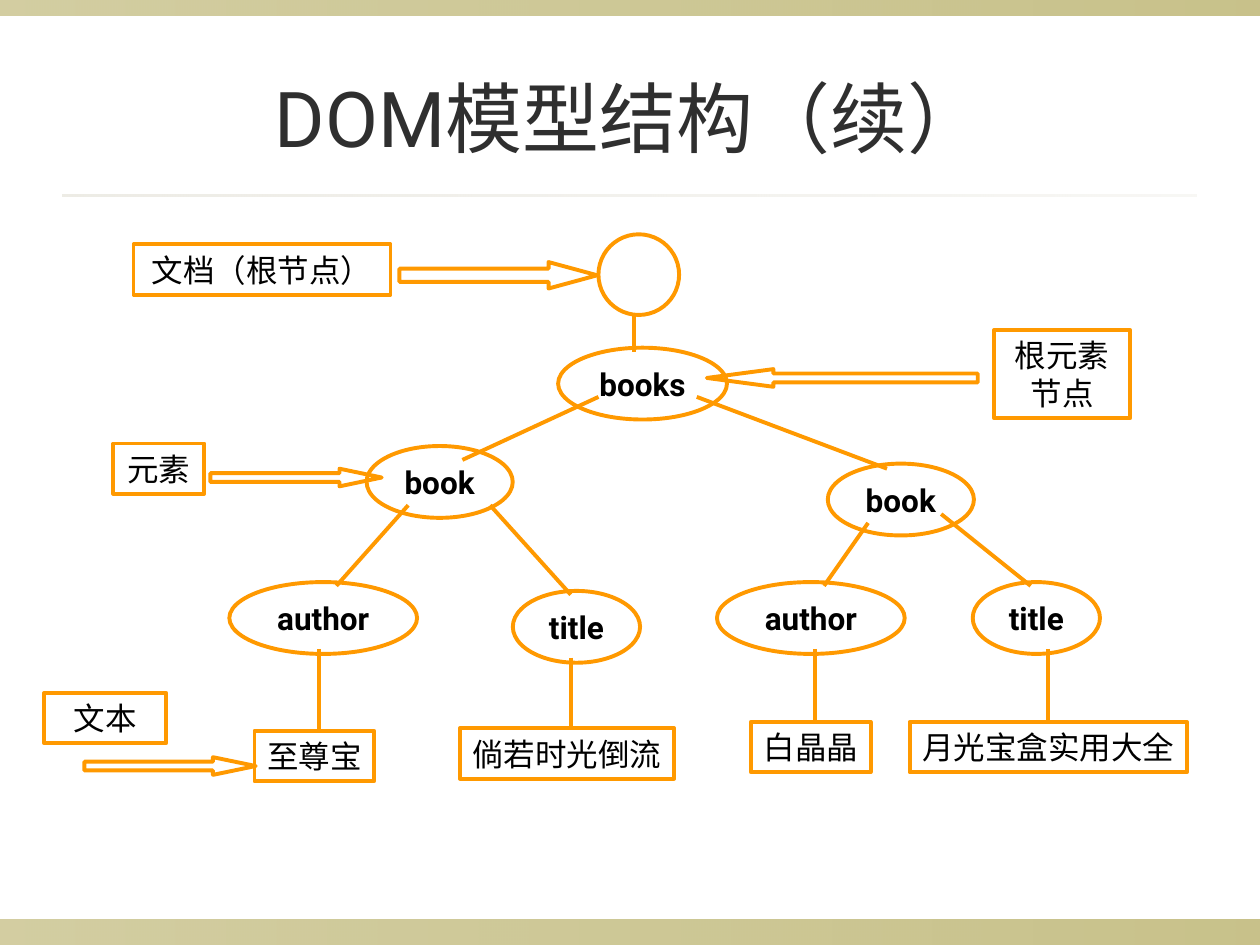
from dataclasses import dataclass

from lxml.etree import SubElement
from pptx import Presentation
from pptx.dml.color import RGBColor as Rgb
from pptx.enum.shapes import MSO_CONNECTOR as Connector, MSO_SHAPE as Preset
from pptx.enum.text import MSO_ANCHOR as Anchor, MSO_AUTO_SIZE as AutoSize, PP_ALIGN as Align
from pptx.oxml.ns import qn
from pptx.util import Inches, Pt


@dataclass(frozen=True)
class Theme:
    font: str = "Roboto"
    title_size: int = 44
    body_size: int = 18
    line_width: float = 2.25
    title: str = "2F2F2F"
    text: str = "000000"
    accent: str = "FF9900"
    band: str = "918415"
    rule: str = "DCD9CC"


class TreeSlide:
    """Draws on a grid of 100 columns by 75 rows."""

    columns, rows = 100, 75

    def __init__(self, presentation, theme):
        self.theme = theme
        self.column = presentation.slide_width / self.columns
        self.row = presentation.slide_height / self.rows
        self.slide = presentation.slides.add_slide(presentation.slide_layouts[6])

    def place(self, x, y, *size):
        lengths = (x, y) + size
        units = (self.column, self.row) * 2
        return [round(length * unit) for length, unit in zip(lengths, units)]

    def add_text(self, shape, text, size, color, bold=False, wrap=True):
        frame = shape.text_frame
        frame.word_wrap = wrap
        frame.vertical_anchor = Anchor.MIDDLE
        paragraph = frame.paragraphs[0]
        paragraph.alignment = Align.CENTER
        run = paragraph.add_run()
        run.text = text
        run.font.name = self.theme.font
        run.font.size = Pt(size)
        run.font.bold = bold
        run.font.color.rgb = Rgb.from_string(color)

    def band(self, place, color, opacities):
        shape = self.slide.shapes.add_shape(Preset.RECTANGLE, *self.place(*place))
        shape.shadow.inherit = False
        shape.line.fill.background()
        shape.fill.gradient()
        shape.fill.gradient_angle = 0
        for stop in shape.fill.gradient_stops:
            stop.color.rgb = Rgb.from_string(color)
        for element, opacity in zip(shape.element.spPr.iter(qn("a:srgbClr")), opacities):
            SubElement(element, qn("a:alpha")).set("val", str(opacity * 1000))

    def title(self, text, place):
        box = self.slide.shapes.add_textbox(*self.place(*place))
        self.add_text(box, text, self.theme.title_size, self.theme.title)

    def outline(self, preset, place):
        shape = self.slide.shapes.add_shape(preset, *self.place(*place))
        shape.shadow.inherit = False
        shape.fill.background()
        self.stroke(shape.line)
        return shape

    def stroke(self, line):
        line.color.rgb = Rgb.from_string(self.theme.accent)
        line.width = Pt(self.theme.line_width)

    def labelled(self, preset, text, place, bold=False, wrap=True):
        shape = self.outline(preset, place)
        self.add_text(shape, text, self.theme.body_size, self.theme.text, bold, wrap)
        shape.text_frame.auto_size = AutoSize.SHAPE_TO_FIT_TEXT

    def arrow(self, preset, place, head):
        shape = self.outline(preset, place)
        shape.adjustments[0] = 0.5
        shape.adjustments[1] = head

    def edge(self, start, end):
        connector = self.slide.shapes.add_connector(
            Connector.STRAIGHT, *self.place(*start), *self.place(*end))
        self.stroke(connector.line)
        SubElement(connector.element.spPr, qn("a:effectLst"))


NODE_HEIGHT = 5.7
NODE_WIDTHS = {"books": 13.4, "book": 11.6, "author": 14.9, "title": 10.1}
NODES = [  # name, left, top
    ("books", 44.3, 27.6),
    ("book", 29.1, 35.4), ("book", 65.7, 36.8),
    ("author", 18.2, 46.2), ("title", 40.7, 46.9),
    ("author", 56.9, 46.2), ("title", 77.2, 46.2),
]
LEAF_HEIGHT = 4
LEAVES = [  # text, left, top, width
    ("至尊宝", 20.2, 58, 9.5), ("倘若时光倒流", 36.5, 57.8, 17),
    ("白晶晶", 59.6, 57.3, 9.5), ("月光宝盒实用大全", 72.2, 57.3, 22),
]
EDGES = [
    ((50.3, 25.1), (50.3, 27.9)),
    ((47.5, 31.5), (36.7, 36.5)), ((55.3, 31.5), (70.4, 37.2)),
    ((32.4, 40.1), (26.7, 46.5)), ((38.9, 40.1), (45.3, 47.2)),
    ((68.9, 41.5), (65.4, 46.5)), ((74.7, 40.8), (81.8, 46.5)),
    ((25.3, 51.5), (25.3, 57.9)), ((45.3, 52.2), (45.3, 57.9)),
    ((64.7, 51.5), (64.7, 57.2)), ((83.2, 51.5), (83.2, 57.2)),
]
CALLOUTS = [  # text, label place, arrow preset, arrow place, head length
    ("文档（根节点）", (10.6, 19.4, 20.4, 4), Preset.RIGHT_ARROW, (31.7, 20.8, 15.7, 2.1), 1.84),
    ("根元素节点", (78.9, 26.2, 10.8, 7), Preset.LEFT_ARROW, (56.1, 29.3, 21.5, 1.4), 3.77),
    ("元素", (9, 35.2, 7.2, 4), Preset.RIGHT_ARROW, (16.7, 37.2, 13.6, 1.4), 2.39),
    ("文本", (3.5, 55, 9.7, 4), Preset.RIGHT_ARROW, (6.7, 60.1, 13.6, 1.4), 2.42),
]


def main():
    presentation = Presentation()
    presentation.slide_width, presentation.slide_height = Inches(10), Inches(7.5)
    theme = Theme()
    tree = TreeSlide(presentation, theme)

    # Bands, rule and title
    tree.band((0, 73, 100, 2), theme.band, (40, 50))
    tree.band((0, 0, 100, 1.2), theme.band, (40, 50))
    tree.band((5, 15.4, 90, 0.2), theme.rule, (50, 20))
    tree.title("DOM模型结构（续）", (5, 3, 90, 12.5))

    # Document root, elements and text leaves
    tree.outline(Preset.OVAL, (47.5, 18.6, 6.4, 6.4))
    for name, left, top in NODES:
        place = (left, top, NODE_WIDTHS[name], NODE_HEIGHT)
        tree.labelled(Preset.OVAL, name, place, bold=True, wrap=False)
    for text, left, top, width in LEAVES:
        tree.labelled(Preset.RECTANGLE, text, (left, top, width, LEAF_HEIGHT), wrap=False)

    # Branches
    for start, end in EDGES:
        tree.edge(start, end)

    # Callouts naming the kinds of node
    for text, label_place, preset, arrow_place, head in CALLOUTS:
        tree.labelled(Preset.RECTANGLE, text, label_place)
        tree.arrow(preset, arrow_place, head)

    presentation.save("out.pptx")


if __name__ == "__main__":
    main()
